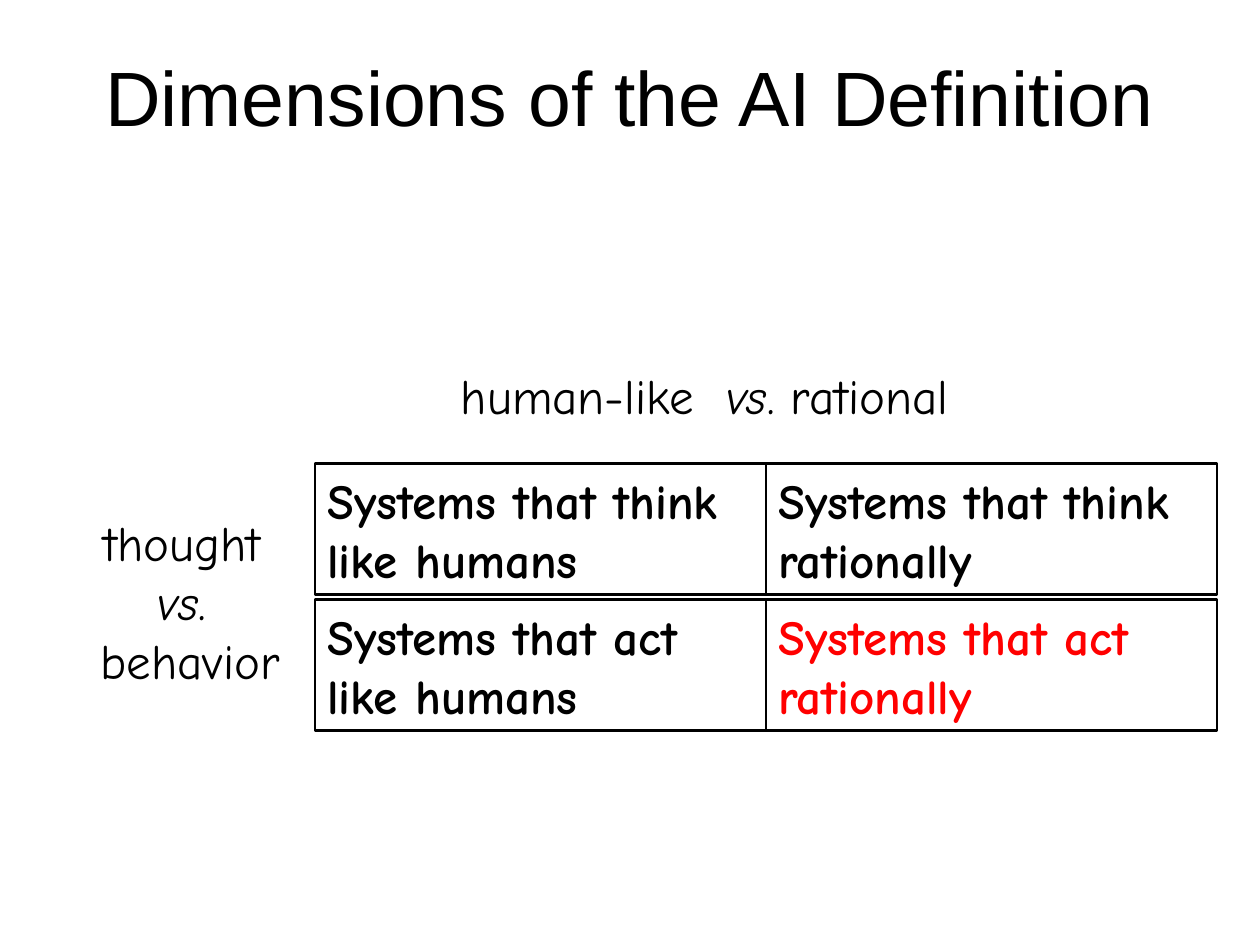
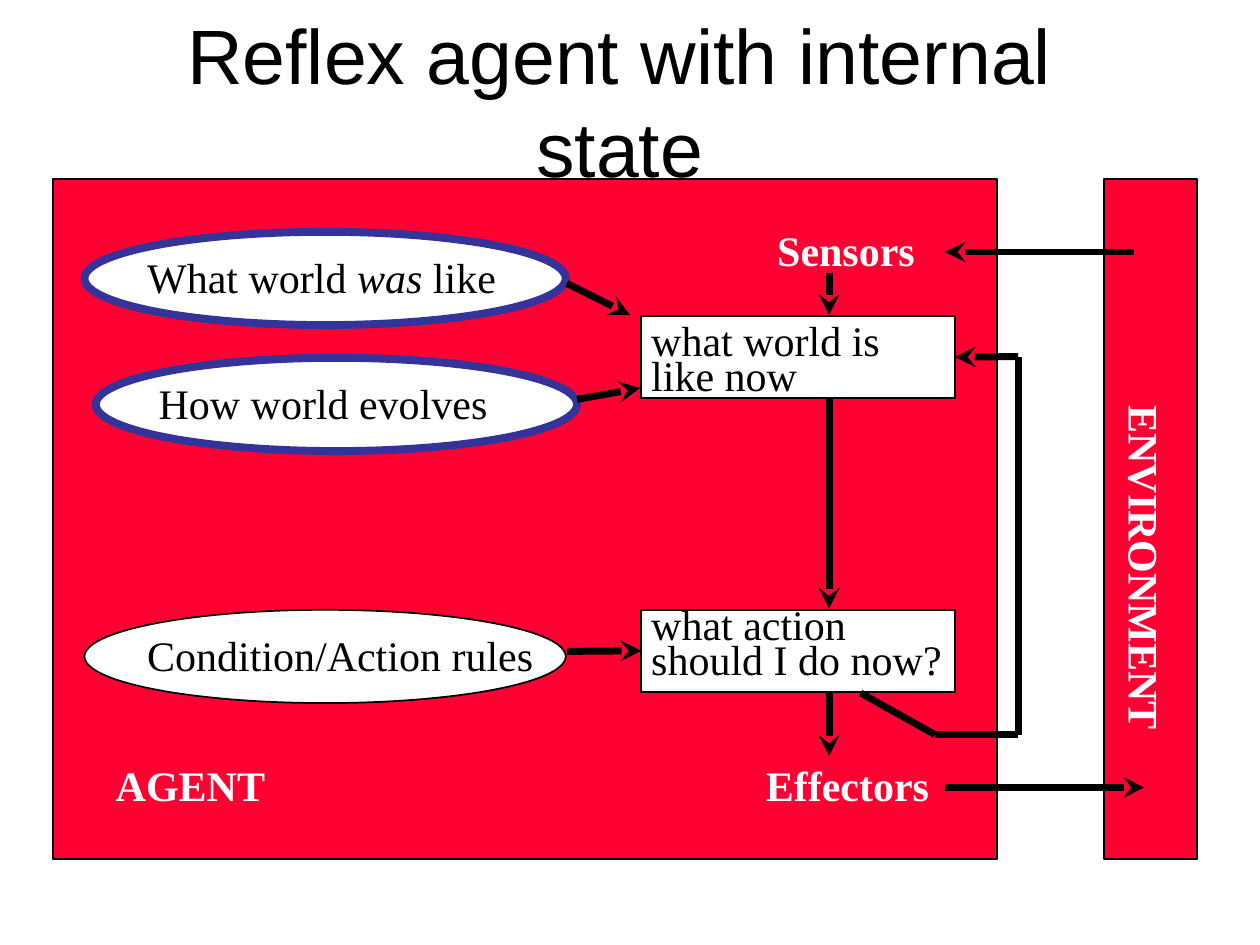
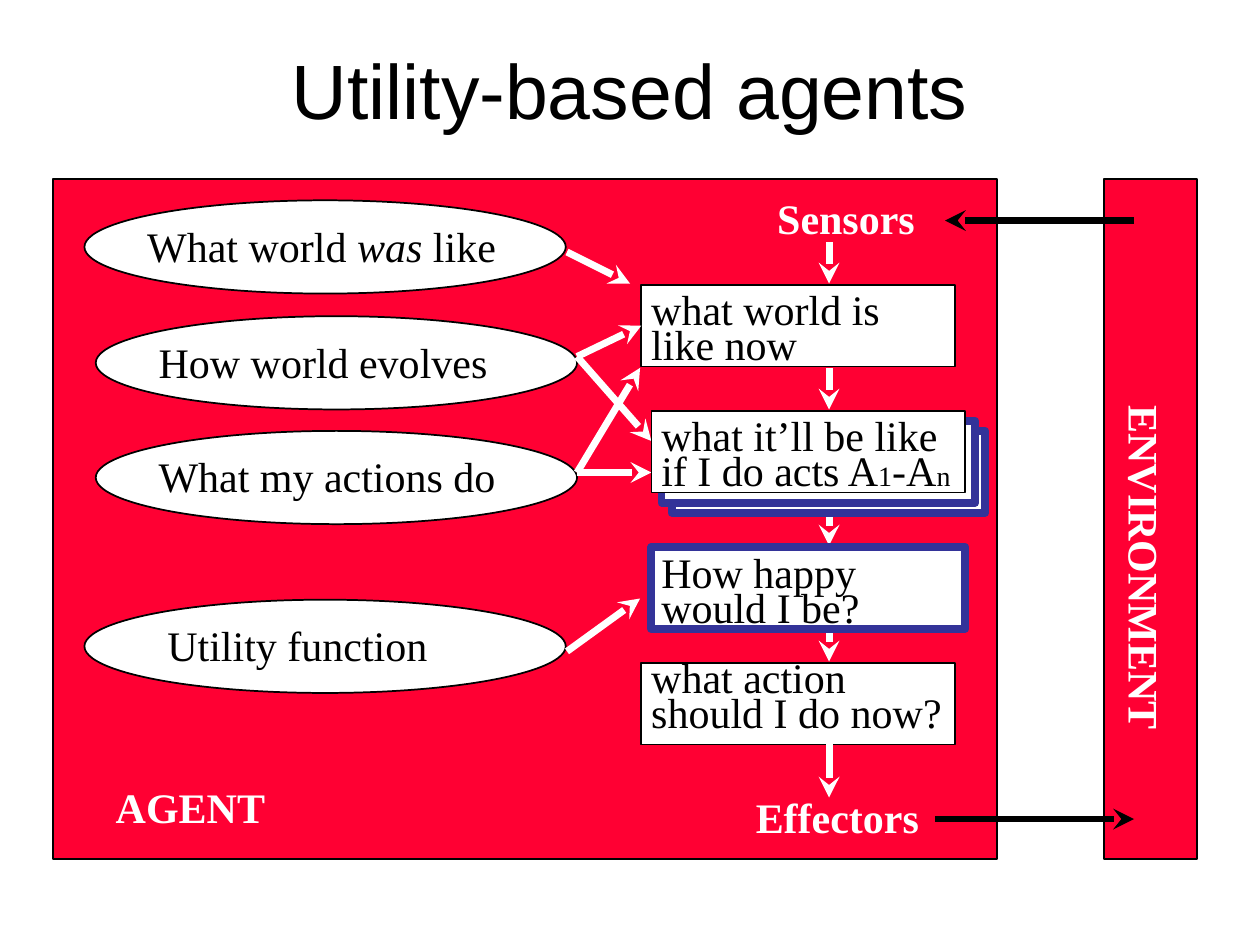
from lxml import etree
from pptx import Presentation
from pptx.dml.color import RGBColor
from pptx.enum.shapes import MSO_CONNECTOR, MSO_SHAPE as SHAPE
from pptx.enum.text import MSO_ANCHOR as ANCHOR, MSO_AUTO_SIZE as FIT, PP_ALIGN as ALIGN
from pptx.oxml.ns import qn
from pptx.util import Pt

PX = 9144  # 100 px to the inch

BLACK = RGBColor(0x00, 0x00, 0x00)
WHITE = RGBColor(0xFF, 0xFF, 0xFF)
BRIGHT_RED = RGBColor(0xFF, 0x00, 0x00)
PANEL_RED = RGBColor(0xFF, 0x00, 0x33)
BLUE = RGBColor(0x33, 0x33, 0x99)

TITLE_FONT = "Arial"
MATRIX_FONT = "Comic Neue"
DIAGRAM_FONT = "Times New Roman"

ITALIC = {"italic": True}
SUBSCRIPT = {"size": Pt(16)}

AGENT_BOX = (42, 142, 749, 540)
ENV_X, ENV_W = 834, 74  # environment column, from the agent's left edge
OVAL_W, OVAL_H = 382, 74
STEP_W, STEP_H = 249, 65
FLOW_X = 616  # vertical line of the arrows between steps
CARD_SHIFT = 8

# Wording: each line is a string or a list of strings and (string, style) pairs
WAS_LIKE = ["What world ", ("was", ITALIC), " like"]
IS_LIKE = ["what world is", "like now"]
ACTION = ["what action", "should I do now?"]
ACTS = ["what it’ll be like",
        ["if I do acts A", ("1", SUBSCRIPT), "-A", ("n", SUBSCRIPT)]]


def emu(*lengths):
    return [length * PX for length in lengths]


def write(tf, lines, font, size, color=BLACK, bold=False, align=None, spacing=None):
    for i, line in enumerate(lines):
        p = tf.add_paragraph() if i else tf.paragraphs[0]
        p.alignment = align
        p.line_spacing = spacing
        for piece in [line] if isinstance(line, str) else line:
            text, style = (piece, {}) if isinstance(piece, str) else piece
            r = p.add_run()
            r.text = text
            r.font.name, r.font.size, r.font.bold = font, Pt(size), bold
            r.font.color.rgb = color
            for name, value in style.items():
                setattr(r.font, name, value)


def add_label(s, box, lines, font=DIAGRAM_FONT, size=24, **style):
    """Text on lines of its own, without wrapping."""
    sp = s.shapes.add_textbox(*emu(*box))
    sp.text_frame.word_wrap = False
    sp.text_frame.auto_size = FIT.SHAPE_TO_FIT_TEXT
    write(sp.text_frame, lines, font, size, **style)
    return sp


def add_panel_label(s, x, y, w, text):
    return add_label(s, (x, y, w, 50), [text], color=WHITE, bold=True)


def add_title(s, box, text):
    tf = s.shapes.add_textbox(*emu(*box)).text_frame
    tf.word_wrap = True
    tf.vertical_anchor = ANCHOR.MIDDLE
    write(tf, [text], TITLE_FONT, 44, align=ALIGN.CENTER)


def add_box(s, kind, box, fill=WHITE, line=BLACK, width=1):
    sp = s.shapes.add_shape(kind, *emu(*box))
    sp.shadow.inherit = False
    if fill is None:
        sp.fill.background()
    else:
        sp.fill.solid()
        sp.fill.fore_color.rgb = fill
    sp.line.color.rgb = line
    sp.line.width = Pt(width)
    return sp


def add_line(s, start, end, color=BLACK, arrow=True, target=None, site=None):
    cxn = s.shapes.add_connector(MSO_CONNECTOR.STRAIGHT, *emu(*start, *end))
    if target is not None:
        cxn.end_connect(target, site)
    cxn.line.color.rgb = color
    cxn.line.width = Pt(4)
    if arrow:
        etree.SubElement(cxn.line._get_or_add_ln(), qn("a:tailEnd"), type="stealth")
    etree.SubElement(cxn._element.spPr, qn("a:effectLst"))


class AgentDiagram:
    """Agent panel and environment column; parts are placed from the panel's corner."""

    def __init__(self, s, box):
        self.s = s
        self.x, self.y, w, h = box
        # Environment column with its turned label
        env_x = self.x + ENV_X
        add_box(s, SHAPE.RECTANGLE, (env_x, self.y, ENV_W, h), PANEL_RED)
        add_panel_label(s, env_x - 106, self.y + 284, 278, "ENVIRONMENT").rotation = 90
        # Agent panel
        add_box(s, SHAPE.RECTANGLE, box, PANEL_RED)

    def at(self, x, y):
        return self.x + x, self.y + y

    def label(self, x, y, w, text):
        add_panel_label(self.s, *self.at(x, y), w, text)

    def link(self, start, end, **style):
        add_line(self.s, self.at(*start), self.at(*end), **style)

    def flow(self, top, bottom, **style):
        self.link((FLOW_X, top), (FLOW_X, bottom), **style)

    def outline(self, marked):
        return {"line": BLUE, "width": 4.5} if marked else {}

    def oval(self, x, y, text_w, line, indent=40, marked=False):
        left, top = self.at(x, y)
        add_box(self.s, SHAPE.OVAL, (left, top, OVAL_W, OVAL_H), **self.outline(marked))
        add_label(self.s, (left + indent, top + 23, text_w, 38), [line], spacing=Pt(20))

    def card(self, x, y, marked=False):
        return add_box(self.s, SHAPE.RECTANGLE, (*self.at(x, y), STEP_W, STEP_H),
                       **self.outline(marked))

    def step(self, x, y, text_w, lines, drop=6, marked=False):
        sp = self.card(x, y, marked)
        left, top = self.at(x - 2, y + drop)
        add_label(self.s, (left, top, text_w, 66), lines, spacing=Pt(20))
        return sp


def build_definition(s):
    add_title(s, (50, 30, 900, 92), "Dimensions of the AI Definition")
    build_matrix(s, (250, 368, 716, 212))


def build_matrix(s, box):
    x, y, w, h = box
    gap = 4
    cell_w, cell_h = w // 2, (h - gap) // 2
    # Axis names
    add_label(s, (x - 180, y + 34, 162, 150),
              ["thought ", [("vs", ITALIC), ". "], "behavior"],
              MATRIX_FONT, 28, align=ALIGN.CENTER)
    add_label(s, (x + 106, y - 83, 409, 57),
              [["human-like  ", ("vs", ITALIC), ". rational"]], MATRIX_FONT, 28)
    # Four kinds of system
    for row, verb in enumerate(["think", "act"]):
        for col, manner in enumerate(["like humans", "rationally"]):
            sp = add_box(s, SHAPE.RECTANGLE,
                         (x + col * cell_w, y + row * (cell_h + gap), cell_w, cell_h),
                         fill=None, width=1.5)
            tf = sp.text_frame
            tf.word_wrap = True
            tf.vertical_anchor = ANCHOR.MIDDLE
            color = BRIGHT_RED if row and col else BLACK
            write(tf, [f"Systems that {verb} {manner}"], MATRIX_FONT, 28,
                  color=color, bold=True, align=ALIGN.LEFT)


def build_reflex_agent(s):
    add_title(s, (67, 17, 850, 125), "Reflex agent with internal state")
    d = AgentDiagram(s, AGENT_BOX)
    # Exchange with the environment
    d.link((858, 58), (708, 58))
    d.link((708, 483), (866, 483))
    d.label(40, 456, 139, "AGENT")
    d.label(556, 456, 150, "Effectors")
    d.label(565, 31, 130, "Sensors")
    # Knowledge and steps
    world = d.step(467, 109, 202, IS_LIKE)
    action = d.step(467, 342, 251, ACTION, drop=-2)
    d.oval(25, 342, 327, "Condition/Action rules")
    d.oval(25, 42, 297, WAS_LIKE, marked=True)
    d.oval(34, 142, 281, "How world evolves", marked=True)
    # Arrows
    for top, bottom in [(75, 108), (175, 341), (408, 458)]:
        d.flow(top, bottom)
    d.link((408, 375), (467, 375), target=action, site=1)
    d.link((416, 175), (466, 166))
    d.link((408, 83), (458, 108))
    # Feedback from the action to the world state
    path = [(641, 408), (700, 441), (766, 441), (766, 141)]
    for start, end in zip(path, path[1:]):
        d.link(start, end, arrow=False)
    d.link(path[-1], (716, 141), target=world, site=3)


def build_utility_agent(s):
    add_title(s, (75, 8, 850, 125), "Utility-based agents")
    d = AgentDiagram(s, AGENT_BOX)
    # Exchange with the environment
    d.link((858, 33), (708, 33))
    d.link((700, 508), (858, 508))
    d.label(40, 473, 139, "AGENT")
    d.label(548, 481, 150, "Effectors")
    d.label(565, 6, 130, "Sensors")
    # Knowledge and steps
    world = d.step(467, 84, 202, IS_LIKE)
    d.step(467, 384, 251, ACTION, drop=-2)
    d.oval(25, 17, 297, WAS_LIKE)
    d.oval(34, 109, 281, "How world evolves")
    d.oval(34, 200, 288, "What my actions do")
    d.oval(25, 334, 227, "Utility function", indent=56)
    # Arrows
    for top, bottom in [(50, 83), (150, 183), (258, 291), (358, 383), (441, 491)]:
        d.flow(top, bottom, color=WHITE)
    evolves, actions = (416, 141), (416, 233)
    d.link(evolves, (467, 116), color=WHITE, target=world, site=1)
    for start, end in [((408, 58), (458, 83)), (evolves, (475, 208)),
                       (actions, (466, 150)), (actions, (475, 233)),
                       ((408, 375), (466, 333))]:
        d.link(start, end, color=WHITE)
    # Steps in front of the arrows: outcome cards and their value
    d.step(475, 292, 183, ["How happy", "would I be?"], drop=7, marked=True)
    for depth in (2, 1):
        d.card(475 + depth * CARD_SHIFT, 184 + depth * CARD_SHIFT, marked=True)
    d.step(475, 184, 252, ACTS)


def main():
    prs = Presentation()
    prs.slide_width, prs.slide_height = emu(1000, 750)
    for build in (build_definition, build_reflex_agent, build_utility_agent):
        build(prs.slides.add_slide(prs.slide_layouts[6]))
    prs.save("out.pptx")


if __name__ == "__main__":
    main()
